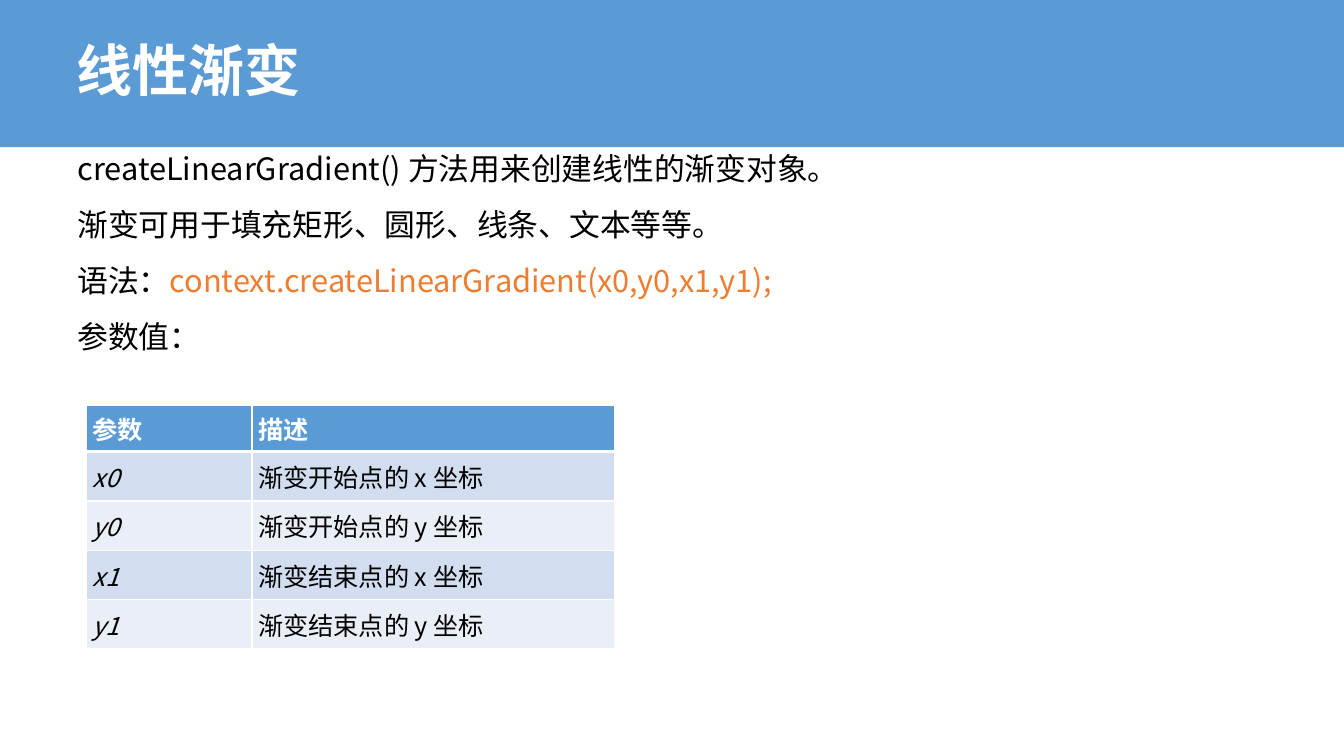
from dataclasses import dataclass

from lxml.etree import SubElement
from pptx import Presentation
from pptx.dml.color import RGBColor
from pptx.enum.shapes import MSO_SHAPE
from pptx.enum.text import MSO_ANCHOR
from pptx.oxml.ns import qn
from pptx.slide import Slide
from pptx.table import _Cell
from pptx.text.text import TextFrame, _Paragraph
from pptx.util import Inches, Pt

FONT = "Noto Sans CJK SC"
COLORS = {
    "blue": "5B9BD5",
    "orange": "ED7D31",
    "black": "000000",
    "white": "FFFFFF",
    "dark band": "D2DEEF",
    "light band": "EAEFF7",
}


@dataclass
class Line:
    text: str
    code: str = ""


@dataclass
class Parameter:
    name: str
    description: str


LINES = [
    Line("createLinearGradient() 方法用来创建线性的渐变对象。"),
    Line("渐变可用于填充矩形、圆形、线条、文本等等。"),
    Line("语法：", "context.createLinearGradient(x0,y0,x1,y1);"),
    Line("参数值："),
]
HEADER = Parameter("参数", "描述")
PARAMETERS = [
    Parameter("x0", "渐变开始点的 x 坐标"),
    Parameter("y0", "渐变开始点的 y 坐标"),
    Parameter("x1", "渐变结束点的 x 坐标"),
    Parameter("y1", "渐变结束点的 y 坐标"),
]


def color(name: str) -> RGBColor:
    return RGBColor.from_string(COLORS[name])


def style(paragraph: _Paragraph, size: float, color_name: str,
          bold: bool = False, italic: bool = False) -> None:
    font = paragraph.font
    font.size, font.bold, font.italic = Pt(size), bold, italic
    font.color.rgb = color(color_name)
    font.name = FONT
    # East Asian characters take their own typeface entry
    properties = paragraph._p.pPr.find(qn("a:defRPr"))
    SubElement(properties, qn("a:ea"), typeface=FONT)


def add_text_frame(slide: Slide, left: float, top: float,
                   width: float, height: float) -> TextFrame:
    box = slide.shapes.add_textbox(Inches(left), Inches(top), Inches(width), Inches(height))
    box.text_frame.word_wrap = True
    return box.text_frame


def add_title(slide: Slide, title: str) -> None:
    band = slide.shapes.add_shape(MSO_SHAPE.RECTANGLE, 0, 0, Inches(13.33), Inches(1.46))
    band.shadow.inherit = False
    band.fill.solid()
    band.fill.fore_color.rgb = color("blue")
    band.line.fill.background()
    frame = add_text_frame(slide, 0.66, 0, 11.76, 1.46)
    frame.vertical_anchor = MSO_ANCHOR.MIDDLE
    paragraph = frame.paragraphs[0]
    paragraph.text = title
    paragraph.line_spacing = 0.9
    style(paragraph, 40, "white", bold=True)


def add_body(slide: Slide, lines: list[Line]) -> None:
    frame = add_text_frame(slide, 0.67, 1.48, 12, 5.84)
    for index, line in enumerate(lines):
        paragraph = frame.add_paragraph() if index else frame.paragraphs[0]
        paragraph.line_spacing = 0.9
        paragraph.space_after = Pt(16.3)
        style(paragraph, 22, "black")
        paragraph.add_run().text = line.text
        if line.code:
            run = paragraph.add_run()
            run.text = line.code
            run.font.color.rgb = color("orange")


def set_borders(cell: _Cell, bottom: float) -> None:
    properties = cell._tc.get_or_add_tcPr()
    widths = {"a:lnL": 1, "a:lnR": 1, "a:lnT": 1, "a:lnB": bottom}
    for index, (tag, width) in enumerate(widths.items()):
        border = SubElement(properties, qn(tag), w=str(Pt(width)))
        fill = SubElement(border, qn("a:solidFill"))
        SubElement(fill, qn("a:srgbClr"), val=COLORS["white"])
        properties.insert(index, border)


def fill_cell(cell: _Cell, text: str, fill_name: str, header: bool, italic: bool) -> None:
    cell.fill.solid()
    cell.fill.fore_color.rgb = color(fill_name)
    cell.vertical_anchor = MSO_ANCHOR.MIDDLE
    cell.margin_left, cell.margin_right = Inches(0.06), Inches(0.16)
    cell.margin_top = cell.margin_bottom = Inches(0.05 if header else 0.06)
    paragraph = cell.text_frame.paragraphs[0]
    paragraph.text = text
    style(paragraph, 18, "white" if header else "black", bold=header, italic=italic)
    set_borders(cell, 3 if header else 1)


def add_parameter_table(slide: Slide, parameters: list[Parameter]) -> None:
    rows = [HEADER, *parameters]
    table = slide.shapes.add_table(
        len(rows), 2, Inches(0.86), Inches(4.02), Inches(5.24), Inches(2.4)).table
    for column, width in zip(table.columns, (1.64, 3.6)):
        column.width = Inches(width)
    for index, row in enumerate(rows):
        header = index == 0
        table.rows[index].height = Inches(0.46 if header else 0.49)
        band = "blue" if header else ("light band", "dark band")[index % 2]
        fill_cell(table.cell(index, 0), row.name, band, header, italic=not header)
        fill_cell(table.cell(index, 1), row.description, band, header, italic=False)


def main() -> None:
    presentation = Presentation()
    presentation.slide_width, presentation.slide_height = Inches(13.33), Inches(7.5)
    slide = presentation.slides.add_slide(presentation.slide_layouts[6])
    add_title(slide, "线性渐变")
    add_body(slide, LINES)
    add_parameter_table(slide, PARAMETERS)
    presentation.save("out.pptx")


if __name__ == "__main__":
    main()
